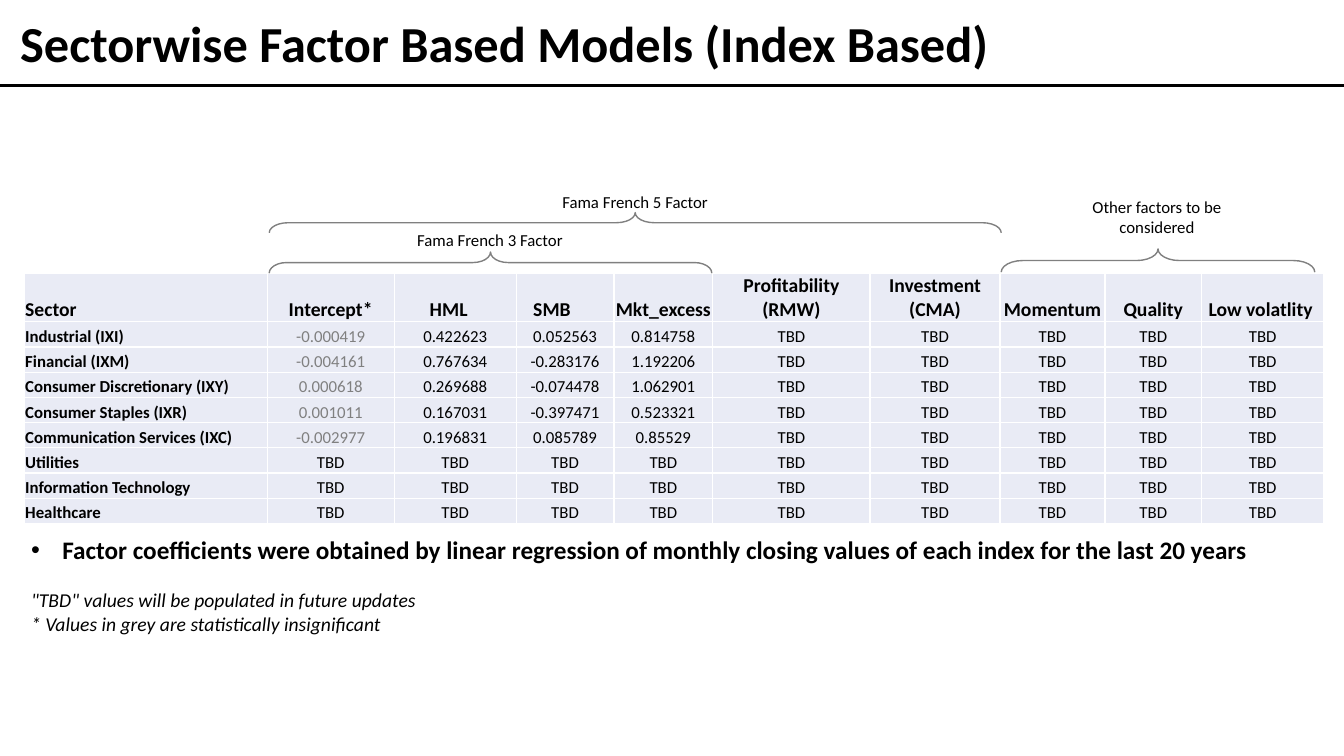
from lxml import etree
from pptx import Presentation
from pptx.dml.color import RGBColor
from pptx.enum.shapes import MSO_CONNECTOR, MSO_SHAPE
from pptx.enum.text import MSO_ANCHOR as ANCHOR, MSO_AUTO_SIZE as AUTO, PP_ALIGN as ALIGN
from pptx.oxml.ns import qn
from pptx.util import Inches, Pt

BLACK = RGBColor(0x00, 0x00, 0x00)
GREY = RGBColor(0x80, 0x80, 0x80)
PALE = RGBColor(0xE9, 0xEB, 0xF5)
WHITE = RGBColor(0xFF, 0xFF, 0xFF)
FONT = "Calibri"

COLUMNS = [("Sector", 2.41), ("Intercept*", 1.26), ("HML", 1.21), ("SMB", 0.97),
           ("Mkt_excess", 0.98), ("Profitability (RMW)", 1.56),
           ("Investment (CMA)", 1.29), ("Momentum", 1.04), ("Quality", 0.96),
           ("Low volatlity", 1.21)]
HEADER_RIGHT_MARGINS = {"HML": 0.14, "SMB": 0.27, "Low volatlity": 0.05}
SECTORS = [
    ("Industrial (IXI)", "-0.000419", "0.422623", "0.052563", "0.814758"),
    ("Financial (IXM)", "-0.004161", "0.767634", "-0.283176", "1.192206"),
    ("Consumer Discretionary (IXY)", "0.000618", "0.269688", "-0.074478", "1.062901"),
    ("Consumer Staples (IXR)", "0.001011", "0.167031", "-0.397471", "0.523321"),
    ("Communication Services (IXC)", "-0.002977", "0.196831", "0.085789", "0.85529"),
    ("Utilities",),
    ("Information Technology",),
    ("Healthcare",),
]
GROUPS = [
    ("Fama French 3 Factor", (2.67, 2.5, 4.39, 0.21), 0.826, (1.18, -0.27, 2.02, 0.3)),
    ("Fama French 5 Factor", (2.67, 2.11, 7.26, 0.2), 0.938, (2.73, -0.26, 1.8, 0.3)),
    ("Other factors to be considered", (9.93, 2.47, 3.11, 0.23), 0.927,
     (0.62, -0.57, 1.85, 0.5)),
]


def style(p, size, bold=False, italic=False, color=BLACK, align=ALIGN.LEFT):
    """Format a paragraph and all its runs."""
    p.alignment = align
    for r in p.runs:
        r.font.name, r.font.size = FONT, Pt(size)
        r.font.bold, r.font.italic = bold, italic
        r.font.color.rgb = color


def add_text(s, box, text):
    """Add a wrapping text box and return its text frame."""
    tf = s.shapes.add_textbox(*map(Inches, box)).text_frame
    tf.word_wrap = True
    tf.text = text
    return tf


def add_title(s, left, top, width, height):
    """Place the title and the full-width rule beneath it."""
    sp = s.shapes.title
    sp.left, sp.top, sp.width, sp.height = map(Inches, (left, top, width, height))
    tf = sp.text_frame
    tf.text = "Sectorwise Factor Based Models (Index Based)"
    tf.auto_size, tf.vertical_anchor = AUTO.NONE, ANCHOR.MIDDLE
    style(tf.paragraphs[0], 36, bold=True)
    y = Inches(top + height + 0.08)
    rule = s.shapes.add_connector(MSO_CONNECTOR.STRAIGHT, 0, y, Inches(13.33), y)
    rule.line.color.rgb, rule.line.width = BLACK, Pt(2.5)
    etree.SubElement(rule._element.spPr, qn("a:effectLst"))


def add_borders(cell):
    """Draw thin white lines on every side of a cell."""
    tc_pr = cell._tc.get_or_add_tcPr()
    for side in "LRTB":
        ln = etree.SubElement(tc_pr, qn(f"a:ln{side}"), w=str(Pt(1)))
        fill = etree.SubElement(ln, qn("a:solidFill"))
        etree.SubElement(fill, qn("a:srgbClr"), val=str(WHITE))


def add_factor_table(s, left, top, header_height, row_height):
    """Add the table of factor coefficients by sector."""
    widths = [width for _, width in COLUMNS]
    rows = [[name for name, _ in COLUMNS]]
    rows += [[*row, *["TBD"] * (len(COLUMNS) - len(row))] for row in SECTORS]
    heights = [header_height] + [row_height] * len(SECTORS)
    box = map(Inches, (left, top, sum(widths), sum(heights)))
    table = s.shapes.add_table(len(rows), len(COLUMNS), *box).table
    table.first_row = table.horz_banding = False
    for column, width in zip(table.columns, widths):
        column.width = Inches(width)
    for row, height in zip(table.rows, heights):
        row.height = Inches(height)
    for i, row in enumerate(rows):
        for j, text in enumerate(row):
            cell = table.cell(i, j)
            add_borders(cell)
            cell.fill.solid()
            cell.fill.fore_color.rgb = PALE
            cell.vertical_anchor = ANCHOR.BOTTOM
            cell.margin_left = cell.margin_top = Inches(0.01)
            cell.margin_right = Inches(HEADER_RIGHT_MARGINS.get(text, 0.01))
            cell.margin_bottom = 0
            cell.text_frame.text = text
            insignificant = i > 0 and j == 1 and text != "TBD"
            style(cell.text_frame.paragraphs[0], 12 if i else 14,
                  bold=i == 0 or j == 0, color=GREY if insignificant else BLACK,
                  align=ALIGN.CENTER if j else ALIGN.LEFT)


def add_factor_group(s, text, box, curve, label):
    """Add an upward brace filling the box, with a label placed relative to it."""
    left, top, width, height = box
    x, y = left + (width - height) / 2, top + (height - width) / 2
    sp = s.shapes.add_shape(MSO_SHAPE.LEFT_BRACE, *map(Inches, (x, y, height, width)))
    sp.rotation = 90
    sp.adjustments[0], sp.adjustments[1] = curve, 0.5
    sp.shadow.inherit = False
    sp.fill.background()
    sp.line.color.rgb, sp.line.width = GREY, Pt(1)
    dx, dy, label_width, label_height = label
    tf = add_text(s, (left + dx, top + dy, label_width, label_height), text)
    style(tf.paragraphs[0], 12, align=ALIGN.CENTER)


def add_notes(s, box):
    """Add the bulleted finding and the two table remarks."""
    tf = add_text(s, box, "Factor coefficients were obtained by linear regression of monthly "
                          "closing values of each index for the last 20 years\n"
                          "\"TBD\" values will be populated in future updates\n"
                          "* Values in grey are statistically insignificant")
    finding, *remarks = tf.paragraphs
    style(finding, 18, bold=True)
    p_pr = finding._p.get_or_add_pPr()
    p_pr.set("marL", str(Inches(0.31)))
    p_pr.set("indent", str(-Inches(0.31)))
    etree.SubElement(p_pr, qn("a:buFont"), typeface="Arial")
    etree.SubElement(p_pr, qn("a:buChar"), char="•")
    for p in remarks:
        style(p, 14, italic=True)
    remarks[0].space_before = Pt(17)


def main():
    """Build the slide and save it."""
    prs = Presentation()
    prs.slide_width, prs.slide_height = Inches(13.33), Inches(7.5)
    s = prs.slides.add_slide(prs.slide_layouts[5])
    add_title(s, 0.1, 0.08, 11.5, 0.69)
    add_factor_table(s, 0.24, 2.71, 0.47, 0.25)
    add_notes(s, (0.21, 5.25, 12.91, 1.11))
    for group in GROUPS:
        add_factor_group(s, *group)
    prs.save("out.pptx")


if __name__ == "__main__":
    main()
